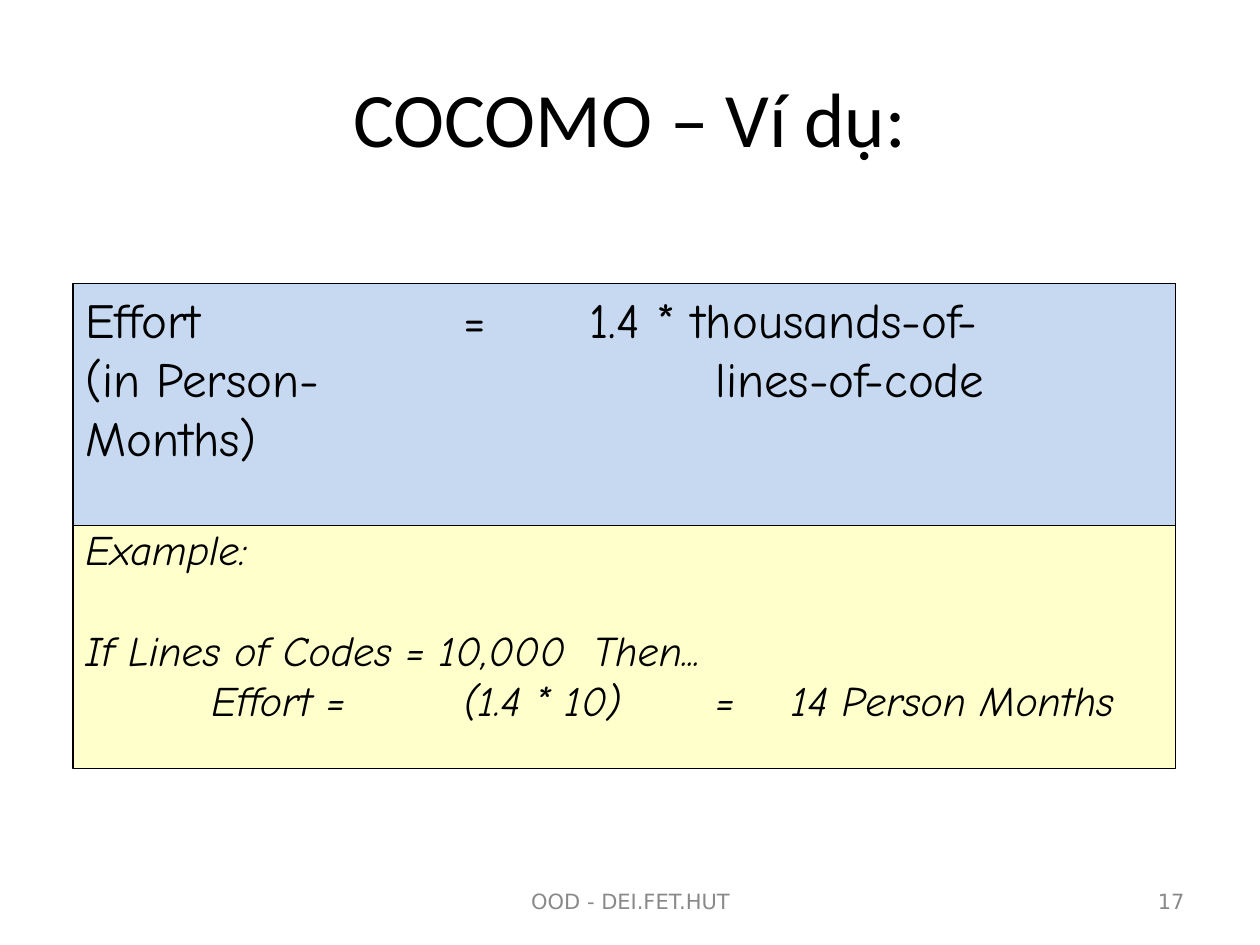
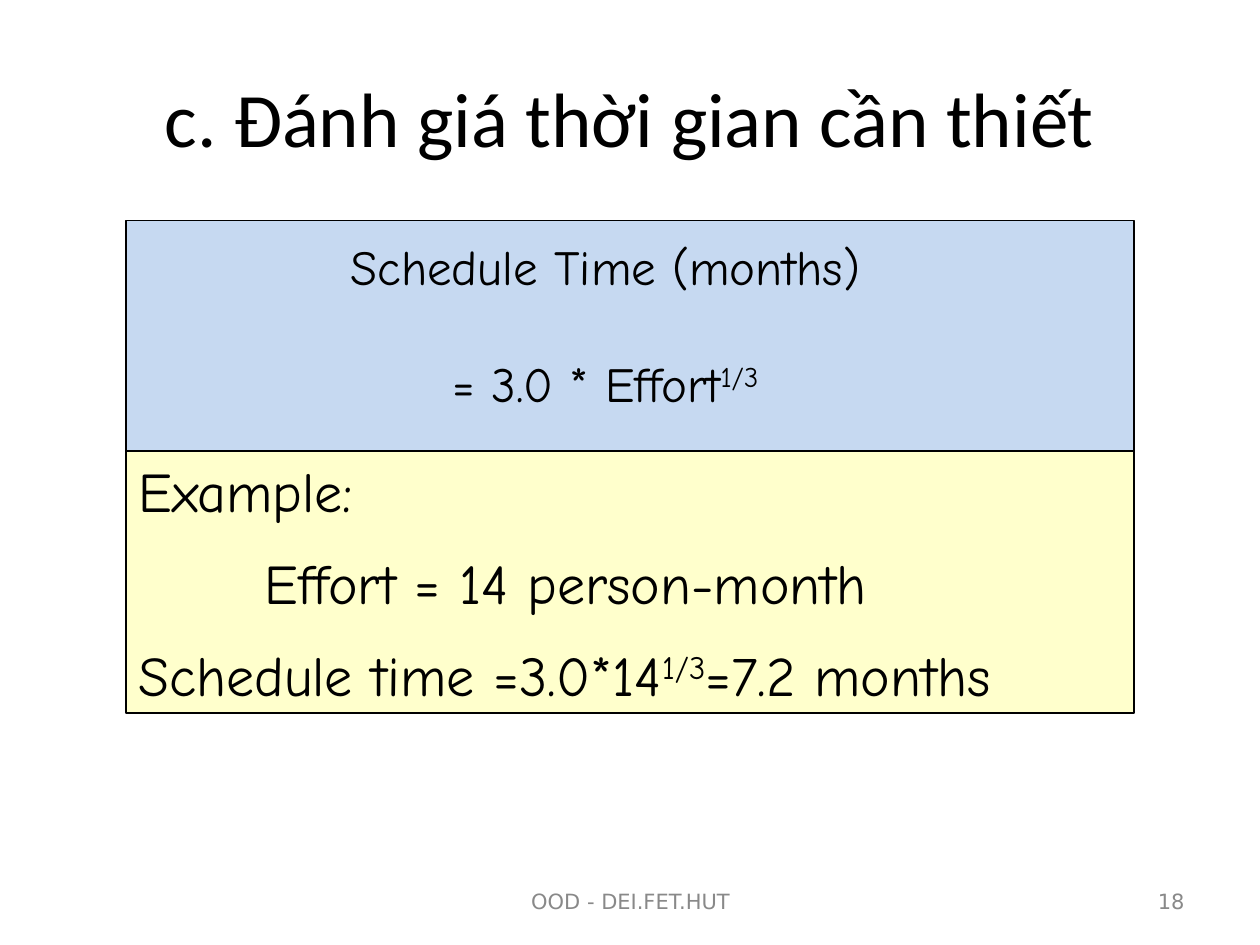
from lxml.etree import SubElement
from pptx import Presentation
from pptx.dml.color import RGBColor
from pptx.enum.shapes import MSO_SHAPE
from pptx.enum.text import MSO_ANCHOR, PP_ALIGN
from pptx.oxml.ns import qn
from pptx.util import Inches, Pt

BLACK = RGBColor(0x00, 0x00, 0x00)
GREY = RGBColor(0x89, 0x89, 0x89)
BLUE = RGBColor(0xC6, 0xD9, 0xF1)
CREAM = RGBColor(0xFF, 0xFF, 0xCC)
HAND = "Comic Neue"
SANS = "DejaVu Sans"


def set_tabs(para, stops):
    tabs = SubElement(para._p.get_or_add_pPr(), qn("a:tabLst"))
    for stop in stops:
        SubElement(tabs, qn("a:tab"), pos=str(Inches(stop)), algn="l")


def add_para(para, text, size=28, font=HAND, color=BLACK, italic=False,
             align=PP_ALIGN.LEFT, before=0, tabs=()):
    para.alignment = align
    para.space_before = Pt(before)
    if tabs:
        set_tabs(para, tabs)
    for i, part in enumerate(text.split("^")):
        if not part:
            continue
        run = para.add_run()
        run.text = part
        run.font.size = Pt(size)
        run.font.name = font
        run.font.italic = italic
        run.font.color.rgb = color
        if i % 2:
            run.font._element.set("baseline", "30000")


def write(shape, lines, anchor=MSO_ANCHOR.TOP, wrap=True, **style):
    frame = shape.text_frame
    frame.word_wrap = wrap
    frame.vertical_anchor = anchor
    for i, (text, extra) in enumerate(lines):
        para = frame.add_paragraph() if i else frame.paragraphs[0]
        add_para(para, text, **{**style, **extra})


def add_text(slide, box, lines, **style):
    shape = slide.shapes.add_textbox(*map(Inches, box))
    write(shape, lines, **style)


def add_panel(slide, box, fill):
    panel = slide.shapes.add_shape(MSO_SHAPE.RECTANGLE, *map(Inches, box))
    panel.shadow.inherit = False
    panel.fill.solid()
    panel.fill.fore_color.rgb = fill
    panel.line.color.rgb = BLACK
    panel.line.width = Pt(1)
    return panel


def add_slide(deck, title, number):
    slide = deck.slides.add_slide(deck.slide_layouts[5])
    head = slide.shapes.title
    head.left, head.top, head.width, head.height = map(Inches, (0.5, 0.3, 9, 1.25))
    write(head, [(title, {})], anchor=MSO_ANCHOR.MIDDLE, size=44,
          font="Calibri", align=PP_ALIGN.CENTER)
    for text, left, width, align in (
            ("OOD - DEI.FET.HUT", 3.42, 3.17, PP_ALIGN.CENTER),
            (str(number), 7.17, 2.33, PP_ALIGN.RIGHT)):
        add_text(slide, (left, 6.95, width, 0.4), [(text, {})], size=12,
                 font=SANS, color=GREY, align=align, anchor=MSO_ANCHOR.MIDDLE)
    return slide


def add_effort(deck):
    slide = add_slide(deck, "COCOMO – Ví dụ:", 17)
    add_panel(slide, (0.58, 4.17, 8.75, 1.93), CREAM)
    add_panel(slide, (0.58, 2.25, 8.75, 1.92), BLUE)
    note = {"size": 24, "italic": True}
    add_text(slide, (0.58, 2.25, 8.56, 3.57), [
        ("Effort\t=\t1.4 * thousands-of-", {"tabs": (3, 4)}),
        ("(in Person-\tlines-of-code", {"tabs": (5,)}),
        ("Months)", {}),
        ("Example:", {**note, "before": 33}),
        ("If Lines of Codes = 10,000  Then...", {**note, "before": 28.5}),
        ("\tEffort =\t(1.4 * 10)\t=\t14 Person Months",
         {**note, "tabs": (1, 3, 5, 5.6)}),
    ])


def add_time(deck):
    slide = add_slide(deck, "c. Đánh giá thời gian cần thiết", 18)
    add_panel(slide, (1, 1.75, 8, 2.91), BLUE)
    sample = add_panel(slide, (1, 3.58, 8, 2.08), CREAM)
    write(sample, [
        ("Example:", {}),
        ("\tEffort = 14 person-month", {"before": 14.3, "tabs": (1,)}),
        ("Schedule time =3.0*14^1/3^=7.2 months", {"before": 14.3}),
    ], anchor=MSO_ANCHOR.MIDDLE, wrap=False, size=32)
    add_text(slide, (2.42, 1.83, 4.77, 1.5), [
        ("Schedule Time (months)", {}),
        ("= 3.0 * Effort^1/3^", {"before": 33}),
    ], align=PP_ALIGN.CENTER)


def main():
    deck = Presentation()
    deck.slide_width = Inches(10)
    deck.slide_height = Inches(7.5)
    add_effort(deck)
    add_time(deck)
    deck.save("out.pptx")


if __name__ == "__main__":
    main()
